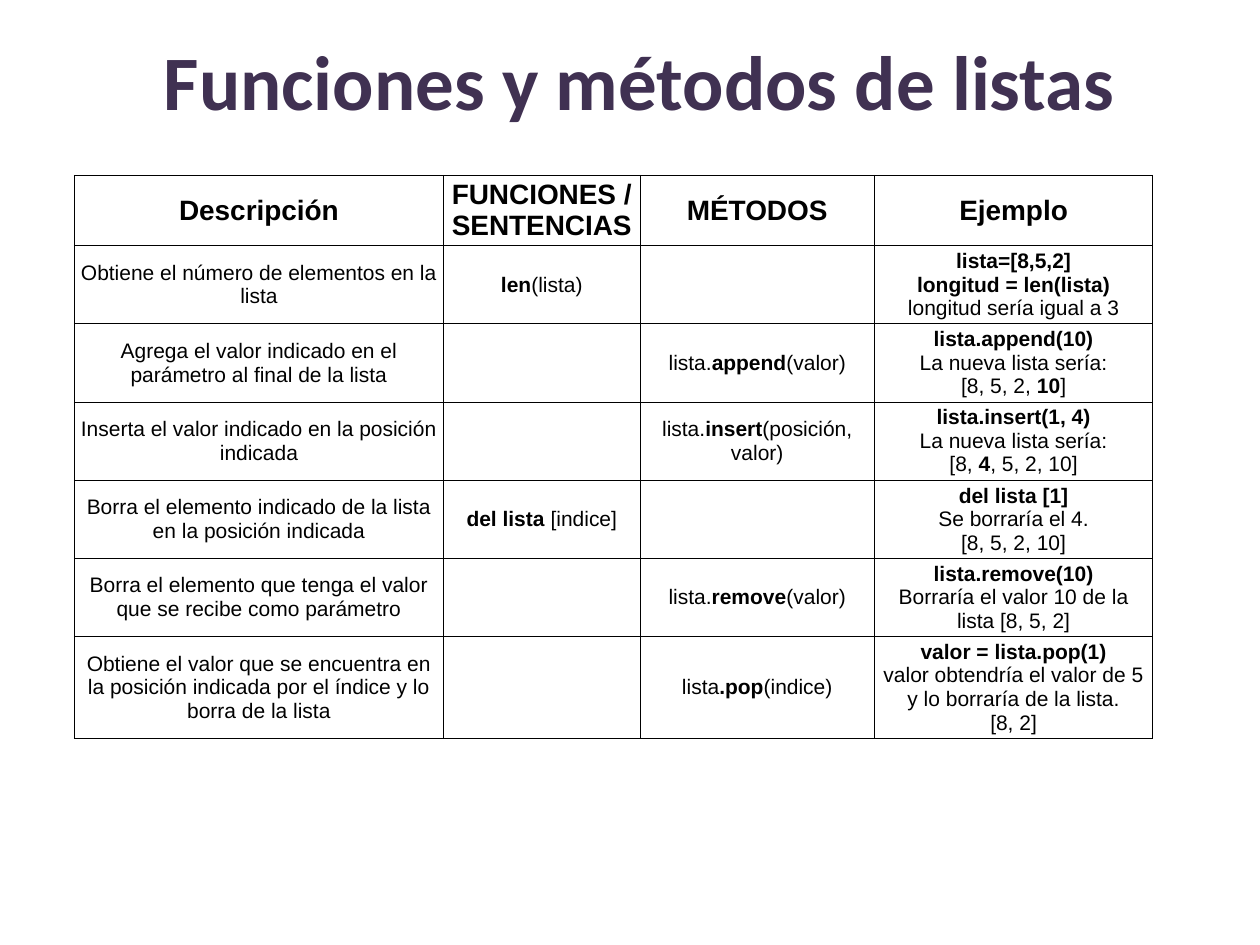
from pptx import Presentation
from pptx.dml.color import RGBColor
from pptx.enum import text
from pptx.oxml import parse_xml
from pptx.oxml.ns import nsdecls
from pptx.util import Inches, Pt

PURPLE = RGBColor(0x40, 0x31, 0x52)
BLACK = RGBColor(0, 0, 0)
WHITE = RGBColor(255, 255, 255)

# Content: ** switches bold on and off, a line break starts a paragraph
TITLE = "Funciones y métodos de listas"
HEADER = ("**Descripción**", "**FUNCIONES / SENTENCIAS**", "**MÉTODOS**", "**Ejemplo**")
ROWS = [
    ("Obtiene el número de elementos en la lista", "**len**(lista)", "",
     "**lista=[8,5,2]**\n**longitud = len(lista)**\nlongitud sería igual a 3"),
    ("Agrega el valor indicado en el parámetro al final de la lista", "",
     "lista.**append**(valor)",
     "**lista.append(10)**\nLa nueva lista sería:\n[8, 5, 2, **10**]"),
    ("Inserta el valor indicado en la posición indicada", "",
     "lista.**insert**(posición, valor)",
     "**lista.insert(1, 4)**\nLa nueva lista sería:\n[8, **4**, 5, 2, 10]"),
    ("Borra el elemento indicado de la lista en la posición indicada",
     "**del lista **[indice]", "",
     "**del lista [1]**\nSe borraría el 4.\n[8, 5, 2, 10]"),
    ("Borra el elemento que tenga el valor que se recibe como parámetro", "",
     "lista.**remove**(valor)",
     "**lista.remove(10)**\nBorraría el valor 10 de la lista [8, 5, 2]"),
    ("Obtiene el valor que se encuentra en la posición indicada por el índice "
     "y lo borra de la lista", "", "lista**.pop**(indice)",
     "**valor = lista.pop(1)**\nvalor obtendría el valor de 5 y lo borraría de la lista.\n[8, 2]"),
]
COLUMN_WIDTHS = (2.93, 1.56, 1.86, 2.21)
ROW_HEIGHTS = (0.56,) + (0.62,) * 5 + (0.81,)


def add_borders(cell):
    properties = cell._tc.get_or_add_tcPr()
    for side in ("lnL", "lnR", "lnT", "lnB"):
        properties.append(parse_xml(
            f'<a:{side} {nsdecls("a")} w="{Pt(0.5)}"><a:solidFill>'
            f'<a:srgbClr val="{BLACK}"/></a:solidFill></a:{side}>'))


def write_cell(cell, content, size):
    cell.margin_left = cell.margin_right = Inches(0.05)
    cell.margin_top = cell.margin_bottom = Inches(0.03)
    cell.vertical_anchor = text.MSO_ANCHOR.MIDDLE
    add_borders(cell)
    cell.fill.solid()
    cell.fill.fore_color.rgb = WHITE
    frame = cell.text_frame
    for number, line in enumerate(content.split("\n")):
        para = frame.add_paragraph() if number else frame.paragraphs[0]
        para.alignment = text.PP_ALIGN.CENTER
        for part, words in enumerate(line.split("**")):
            if words:
                span = para.add_run()
                span.text = words
                span.font.name = "Arial"
                span.font.size = Pt(size)
                span.font.bold = part % 2 == 1
                span.font.color.rgb = BLACK


deck = Presentation()
deck.slide_width, deck.slide_height = Inches(10), Inches(7.5)
page = deck.slides.add_slide(deck.slide_layouts[5])

# Title
title = page.shapes.title
title.left, title.top = Inches(0.75), Inches(0.13)
title.width, title.height = Inches(8.66), Inches(1.01)
title.text_frame.text = TITLE
title.text_frame.vertical_anchor = text.MSO_ANCHOR.MIDDLE
para = title.text_frame.paragraphs[0]
para.alignment = text.PP_ALIGN.CENTER
font = para.runs[0].font
font.name, font.size, font.bold = "Calibri", Pt(44), True
font.color.rgb = PURPLE

# Table of functions and methods
table = page.shapes.add_table(
    len(ROW_HEIGHTS), len(COLUMN_WIDTHS), Inches(0.59), Inches(1.39),
    Inches(sum(COLUMN_WIDTHS)), Inches(sum(ROW_HEIGHTS))).table
table.first_row = table.horz_banding = False
for column, width in zip(table.columns, COLUMN_WIDTHS):
    column.width = Inches(width)
for row, height, contents in zip(table.rows, ROW_HEIGHTS, [HEADER] + ROWS):
    row.height = Inches(height)
    for cell, content in zip(row.cells, contents):
        write_cell(cell, content, 16 if contents is HEADER else 12)

deck.save("out.pptx")
